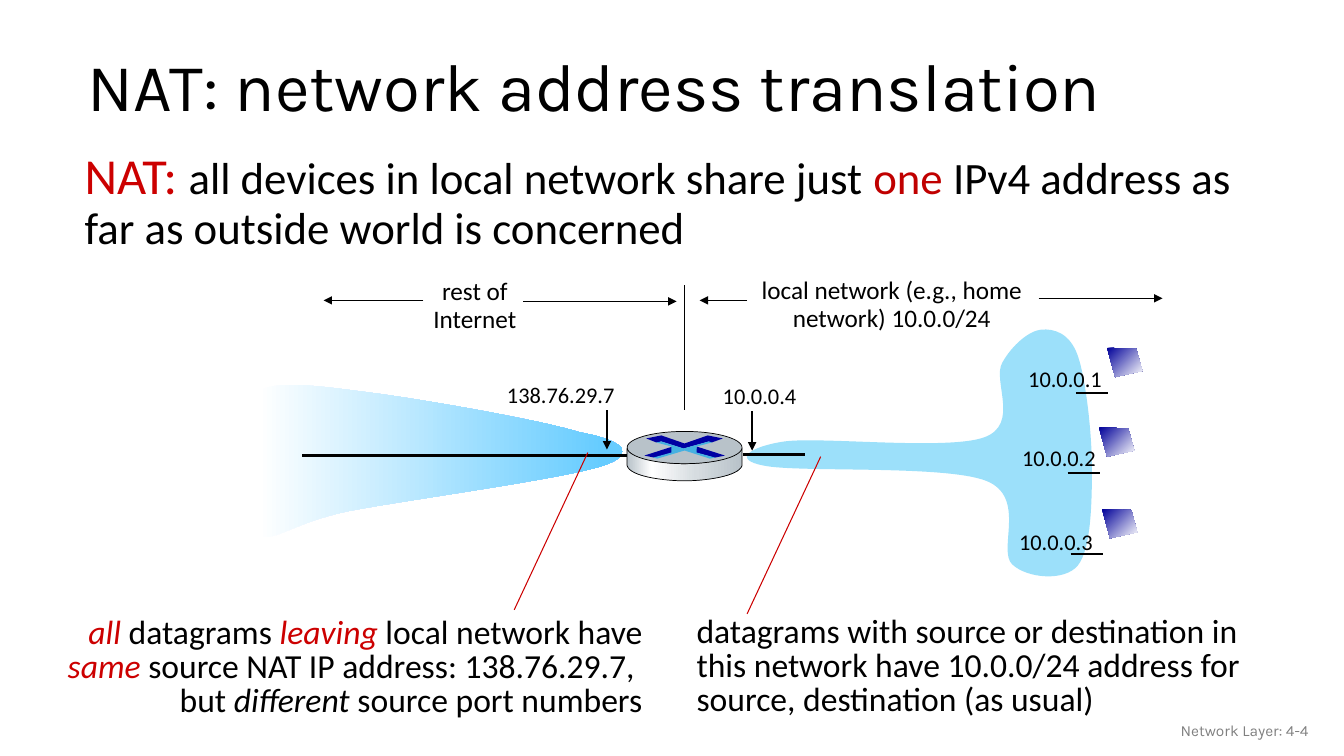
"""Build the slide on network address translation with its router diagram."""
from copy import deepcopy

from lxml import etree
from pptx import Presentation
from pptx.dml.color import RGBColor
from pptx.enum.shapes import MSO_CONNECTOR, MSO_SHAPE
from pptx.enum.text import MSO_ANCHOR, MSO_AUTO_SIZE, PP_ALIGN
from pptx.oxml.ns import qn
from pptx.util import Inches, Pt

LEFT, CENTER, RIGHT = PP_ALIGN.LEFT, PP_ALIGN.CENTER, PP_ALIGN.RIGHT
MIDDLE, TOP = MSO_ANCHOR.MIDDLE, MSO_ANCHOR.TOP
GROW = MSO_AUTO_SIZE.SHAPE_TO_FIT_TEXT
STRAIGHT, ELLIPSE = MSO_CONNECTOR.STRAIGHT, MSO_SHAPE.OVAL

THEME = {
    "color": {
        "black": "000000", "red": "CC0000", "dark red": "C00000", "gray": "808080",
        "local": "9CE0FA", "router": "B8C2C9", "navy": "0000A3", "cyan": "46B1E1",
    },
    "gradient": {
        "computer": (315, [(0, "000099"), (1, "FFFFFF")]),
        "internet": (0, [(0, "FFFFFF"), (1, "66CCFF")]),
        "router side": (0, [(0, "B8C2C9"), (0.21, "FFFFFF"), (0.6, "D6DCE0"), (1, "B8C2C9")]),
    },
    "text": {
        "title": ("black", {"name": "Karla", "size": Pt(48)}),
        "term": ("red", {"name": "Calibri", "size": Pt(36)}),
        "lead": ("black", {"name": "Calibri", "size": Pt(32)}),
        "lead accent": ("dark red", {"name": "Calibri", "size": Pt(32)}),
        "note": ("black", {"name": "Calibri", "size": Pt(24)}),
        "note italic": ("black", {"name": "Calibri", "size": Pt(24), "italic": True}),
        "note accent": ("red", {"name": "Calibri", "size": Pt(24), "italic": True}),
        "region": ("black", {"name": "Calibri", "size": Pt(18)}),
        "address": ("black", {"name": "Calibri", "size": Pt(16)}),
        "footer": ("gray", {"name": "Karla", "size": Pt(11)}),
    },
}


def write_text(shape, paragraphs, align=LEFT, spacing=1.0, anchor=TOP, wrap=True, grow=True):
    """Fill a shape with paragraphs made of (text, style) runs."""
    frame = shape.text_frame
    settings = {"word_wrap": wrap, "vertical_anchor": anchor}
    if grow:
        settings["auto_size"] = GROW
    for name, value in settings.items():
        setattr(frame, name, value)
    for index, runs in enumerate(paragraphs):
        paragraph = frame.add_paragraph() if index else frame.paragraphs[0]
        for name, value in {"alignment": align, "line_spacing": spacing}.items():
            setattr(paragraph, name, value)
        for text, style in runs:
            run = paragraph.add_run()
            run.text = text
            color, formats = THEME["text"][style]
            for name, value in formats.items():
                setattr(run.font, name, value)
            run.font.color.rgb = RGBColor.from_string(THEME["color"][color])


def draw_outline(start, segments, fill, outlined=False):
    """Draw a closed outline of straight (x, y) and cubic (x1, y1, x2, y2, x, y) segments."""
    corners = [tuple(map(Inches, point[-2:])) for point in (start, *segments)]
    builder = slide.shapes.build_freeform(*corners[0])
    builder.add_line_segments(corners[1:], close=True)
    shape = builder.convert_to_shape()
    shape.shadow.inherit = False
    straight_parts = list(shape._element.spPr.iter(qn("a:lnTo")))
    for part, segment in zip(straight_parts, segments):
        if len(segment) == 6:
            curve = etree.Element(qn("a:cubicBezTo"))
            for x, y in zip(segment[::2], segment[1::2]):
                etree.SubElement(curve, qn("a:pt"), x=str(Inches(x) - shape.left), y=str(Inches(y) - shape.top))
            part.getparent().replace(part, curve)
    if fill in THEME["gradient"]:
        angle, stops = THEME["gradient"][fill]
        shape.fill.gradient()
        shape.fill.gradient_angle = angle
        stop_list = next(shape._element.spPr.iter(qn("a:gsLst")))
        for _ in stops[2:]:
            stop_list.append(deepcopy(stop_list[0]))
        for stop, (position, color) in zip(shape.fill.gradient_stops, stops):
            stop.position = position
            stop.color.rgb = RGBColor.from_string(color)
    else:
        shape.fill.solid()
        shape.fill.fore_color.rgb = RGBColor.from_string(THEME["color"][fill])
    if outlined:
        shape.line.width = Pt(0.5)
        shape.line.color.rgb = RGBColor.from_string(THEME["color"]["black"])
    else:
        shape.line.fill.background()


presentation = Presentation()
presentation.slide_width, presentation.slide_height = Inches(13.33), Inches(7.5)
slide = presentation.slides.add_slide(presentation.slide_layouts[5])

title = slide.shapes.title
title.left, title.top, title.width, title.height = map(Inches, (0.77, 0.31, 11.5, 1.17))
write_text(title, [[("NAT: network address translation", "title")]],
           spacing=0.9, anchor=MIDDLE, grow=False)

draw_outline((7.78, 4.38), [
    (8.14, 4.33, 9.39, 4.47, 9.76, 4.34), (10.12, 4.21, 9.84, 3.78, 9.94, 3.6),
    (10.04, 3.42, 10.21, 3.28, 10.33, 3.27), (10.45, 3.26, 10.61, 3.3, 10.69, 3.53),
    (10.77, 3.76, 10.83, 4.3, 10.83, 4.65), (10.83, 5, 10.82, 5.45, 10.69, 5.61),
    (10.56, 5.77, 10.19, 5.74, 10.04, 5.6), (9.89, 5.46, 10.19, 4.93, 9.78, 4.77),
    (9.37, 4.61, 7.91, 4.69, 7.58, 4.62), (7.25, 4.56, 7.44, 4.43, 7.78, 4.38)], "local")
draw_outline((5.75, 4.29), [
    (5.37, 4.17, 4.23, 3.97, 3.7, 3.9), (3.17, 3.83, 2.75, 3.77, 2.56, 3.88),
    (2.37, 3.98, 2.57, 4.31, 2.57, 4.55), (2.57, 4.79, 2.42, 5.22, 2.56, 5.31),
    (2.71, 5.39, 2.89, 5.19, 3.46, 5.07), (4.03, 4.96, 5.59, 4.75, 5.98, 4.62),
    (6.36, 4.49, 6.14, 4.36, 5.75, 4.29)], "internet")

lines = [
    ((3, 4.52), (6.22, 4.52), 2, "black", False),
    ((7.37, 4.51), (7.98, 4.51), 2, "black", False),
    ((6.79, 2.83), (6.79, 4.07), 0.75, "black", False),
    ((7.46, 4.08), (7.46, 4.47), 1.5, "black", True),
    ((6.02, 4.07), (6.02, 4.46), 1.5, "black", True),
    ((10.3, 2.96), (11.53, 2.96), 0.75, "black", True),
    ((7.41, 2.98), (6.94, 2.98), 0.75, "black", True),
    ((5.19, 2.99), (6.71, 2.99), 0.75, "black", True),
    ((4.2, 2.98), (3.21, 2.98), 0.75, "black", True),
    ((7.41, 6.09), (8.14, 4.53), 0.75, "red", False),
    ((5.1, 6.05), (5.83, 4.49), 0.75, "red", False),
]
for x, y in [(10.98, 3.45), (10.9, 4.24), (10.93, 5.05)]:
    draw_outline((x, y), [(x + 0.29, y + 0.01), (x + 0.35, y + 0.23), (x + 0.08, y + 0.29)], "computer")
    lines.append(((x - 0.31, y + 0.45), (x + 0.01, y + 0.45), 1.5, "black", False))

for start, end, width, color, arrow in lines:
    connector = slide.shapes.add_connector(STRAIGHT, *map(Inches, start + end))
    connector.line.width = Pt(width)
    connector.line.color.rgb = RGBColor.from_string(THEME["color"][color])
    if arrow:
        etree.SubElement(connector.line._get_or_add_ln(), qn("a:tailEnd"), type="triangle")
    etree.SubElement(connector._element.spPr, qn("a:effectLst"))

draw_outline((7.36, 4.45), [
    (7.36, 4.62), (7.32, 4.73, 6.98, 4.77, 6.79, 4.77), (6.6, 4.77, 6.25, 4.73, 6.22, 4.62),
    (6.22, 4.58, 6.22, 4.49, 6.22, 4.45), (6.27, 4.55, 6.59, 4.6, 6.78, 4.6),
    (6.97, 4.6, 7.3, 4.56, 7.36, 4.45)], "router side", outlined=True)
router_top = slide.shapes.add_shape(ELLIPSE, *map(Inches, (6.22, 4.28, 1.14, 0.32)))
router_top.shadow.inherit = False
router_top.fill.solid()
router_top.fill.fore_color.rgb = RGBColor.from_string(THEME["color"]["router"])
router_top.line.width = Pt(0.5)
router_top.line.color.rgb = RGBColor.from_string(THEME["color"]["black"])
draw_outline((7.02, 4.32), [
    (7.17, 4.35), (7.06, 4.39), (7.03, 4.38), (6.78, 4.45), (6.56, 4.38),
    (6.51, 4.39), (6.41, 4.35), (6.56, 4.32), (6.79, 4.4)], "navy")
right_arm = [(6.91, 4.43), (7.19, 4.52), (7.09, 4.54), (6.9, 4.49)]
left_arm = [(2 * 6.79 - x, y) for x, y in right_arm]
for arm in (right_arm, left_arm):
    draw_outline(arm[0], arm[1:], "navy")
draw_outline((6.51, 4.39), [
    (6.56, 4.38), (6.78, 4.45), (7.03, 4.38), (7.06, 4.39), (6.91, 4.43), (6.91, 4.49),
    (7.09, 4.54), (7.04, 4.55), (6.79, 4.47), (6.52, 4.55), (6.48, 4.54), (6.66, 4.49),
    (6.66, 4.43)], "cyan")

for address, left, top, width in [
        ("10.0.0.1", 10.1, 3.57, 0.94), ("10.0.0.2", 10.04, 4.36, 0.94), ("10.0.0.3", 10.01, 5.19, 0.94),
        ("10.0.0.4", 7.07, 3.74, 0.94), ("138.76.29.7", 4.93, 3.73, 1.28)]:
    label = slide.shapes.add_textbox(*map(Inches, (left, top, width, 0.39)))
    write_text(label, [[(address, "address")]], wrap=False)

for box, paragraphs, options in [
        ((7.31, 2.71, 3.07, 0.62), [[("local network (e.g., home network) 10.0.0/24", "region")]],
         {"align": CENTER, "spacing": 0.9}),
        ((4.19, 2.72, 1.04, 0.67), [[("rest of", "region")], [("Internet", "region")]],
         {"align": CENTER, "spacing": 0.9, "wrap": False}),
        ((6.81, 6.06, 5.99, 1.13),
         [[("datagrams with source or destination in this network have 10.0.0/24 address for  "
            "source, destination (as usual)", "note")]], {"spacing": 0.85}),
        ((0.42, 6.07, 6.05, 1.13),
         [[("all ", "note accent"), ("datagrams ", "note"), ("leaving", "note accent"),
           (" local network have ", "note"), ("same", "note accent"),
           (" source NAT IP address: 138.76.29.7,  but ", "note"), ("different", "note italic"),
           (" source port numbers", "note")]], {"align": RIGHT, "spacing": 0.85}),
        ((10.08, 7.05, 3, 0.4), [[("Network Layer: 4-4", "footer")]],
         {"align": RIGHT, "anchor": MIDDLE, "grow": False})]:
    write_text(slide.shapes.add_textbox(*map(Inches, box)), paragraphs, **options)

lead = slide.shapes.add_textbox(*map(Inches, (0.48, 1.45, 12.17, 1.13)))
lead.text_frame.margin_left = Inches(0.36)
write_text(lead, [[("NAT: ", "term"), ("all devices in local network share just ", "lead"),
                   ("one", "lead accent"),
                   (" IPv4 address as far as outside world is concerned", "lead")]], spacing=0.9)

presentation.save("out.pptx")
